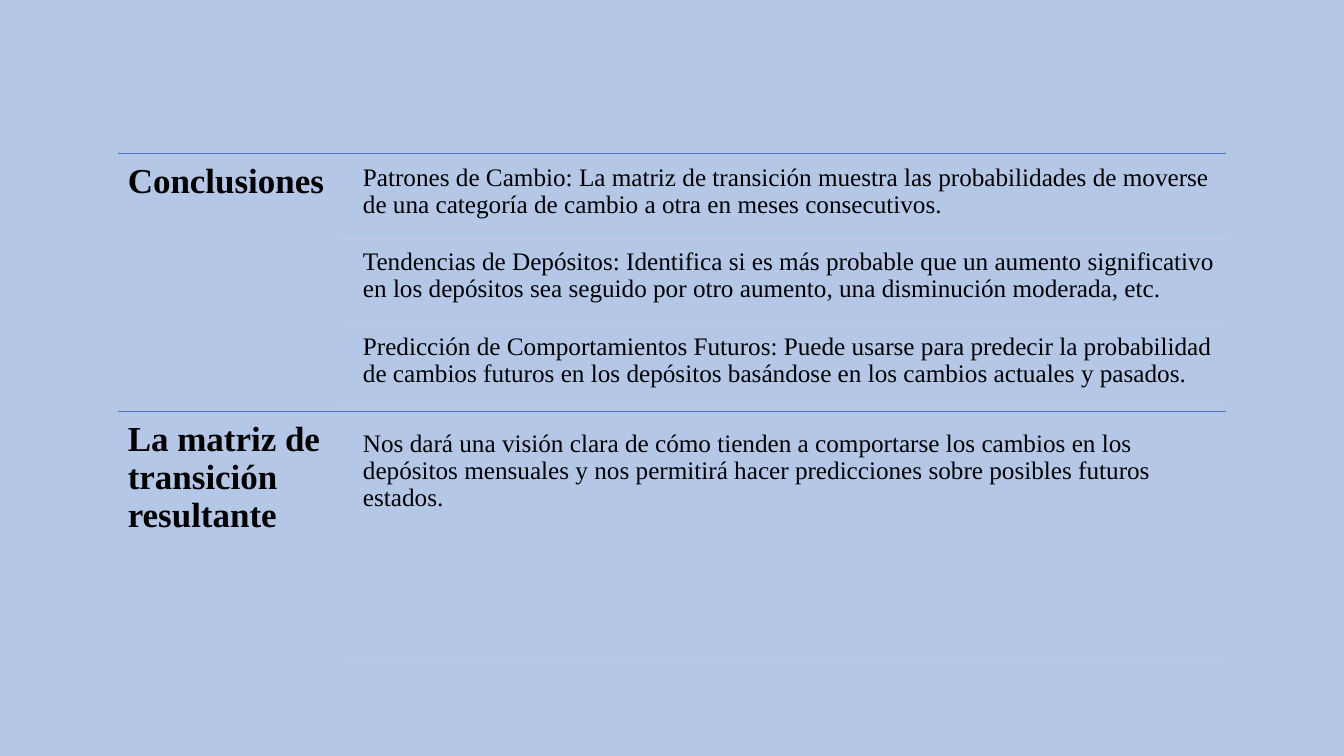
from pptx import Presentation
from pptx.dml.color import RGBColor
from pptx.enum.shapes import MSO_CONNECTOR
from pptx.enum.text import MSO_ANCHOR
from pptx.oxml.ns import qn
from pptx.util import Inches, Pt
from lxml import etree

STRAIGHT = MSO_CONNECTOR.STRAIGHT
TOP = MSO_ANCHOR.TOP
FONT = "Times New Roman"
BACKGROUND, RULE, DIVIDER, INK = "B4C7E7", "4472C4", "C1C9E4", "000000"

LEFT, RIGHT, GRID_TOP = 1.17, 12.16, 1.52
HEADING_WIDTH = 2.2
DIVIDER_LEFT = LEFT + HEADING_WIDTH
BODY_LEFT = 3.53
SECTION_HEIGHT = 2.56

SECTIONS = [
    ("Conclusiones", 0.04, 0.8, [
        "Patrones de Cambio: La matriz de transición muestra las probabilidades de moverse "
        "de una categoría de cambio a otra en meses consecutivos.",
        "Tendencias de Depósitos: Identifica si es más probable que un aumento significativo "
        "en los depósitos sea seguido por otro aumento, una disminución moderada, etc.",
        "Predicción de Comportamientos Futuros: Puede usarse para predecir la probabilidad "
        "de cambios futuros en los depósitos basándose en los cambios actuales y pasados.",
    ]),
    ("La matriz de transición resultante", 0.12, 2.33, [
        "Nos dará una visión clara de cómo tienden a comportarse los cambios en los "
        "depósitos mensuales y nos permitirá hacer predicciones sobre posibles futuros estados.",
    ]),
]


def color(value):
    return RGBColor.from_string(value)


def add_text(slide, text, left, top, width, height, size=18, bold=False, inset=0.07):
    shape = slide.shapes.add_textbox(Inches(left), Inches(top), Inches(width), Inches(height))
    frame = shape.text_frame
    frame.word_wrap = True
    frame.vertical_anchor = TOP
    frame.margin_left = frame.margin_right = Inches(inset)
    frame.margin_top = frame.margin_bottom = Inches(inset)
    paragraph = frame.paragraphs[0]
    paragraph.line_spacing = 0.9
    run = paragraph.add_run()
    run.text = text
    run.font.name = FONT
    run.font.size = Pt(size)
    run.font.bold = bold
    run.font.color.rgb = color(INK)


def add_rule(slide, left, top, line_color, weight):
    connector = slide.shapes.add_connector(
        STRAIGHT, Inches(left), Inches(top), Inches(RIGHT), Inches(top))
    connector.line.color.rgb = color(line_color)
    connector.line.width = Pt(weight)
    etree.SubElement(connector._element.spPr, qn("a:effectLst"))


def add_section(slide, top, heading, gap, row_height, statements):
    add_rule(slide, LEFT, top, RULE, 0.5)
    add_text(slide, heading, LEFT, top, HEADING_WIDTH, SECTION_HEIGHT,
             size=25, bold=True, inset=0.1)
    for index, statement in enumerate(statements):
        row_top = top + gap + index * (row_height + gap)
        add_text(slide, statement, BODY_LEFT, row_top, RIGHT - BODY_LEFT, row_height)
        add_rule(slide, DIVIDER_LEFT, row_top + row_height, DIVIDER, 1)


def main():
    presentation = Presentation()
    presentation.slide_width = Inches(13.33)
    presentation.slide_height = Inches(7.5)
    slide = presentation.slides.add_slide(presentation.slide_layouts.get_by_name("Blank"))
    slide.background.fill.solid()
    slide.background.fill.fore_color.rgb = color(BACKGROUND)
    for index, section in enumerate(SECTIONS):
        add_section(slide, GRID_TOP + index * SECTION_HEIGHT, *section)
    presentation.save("out.pptx")


if __name__ == "__main__":
    main()
